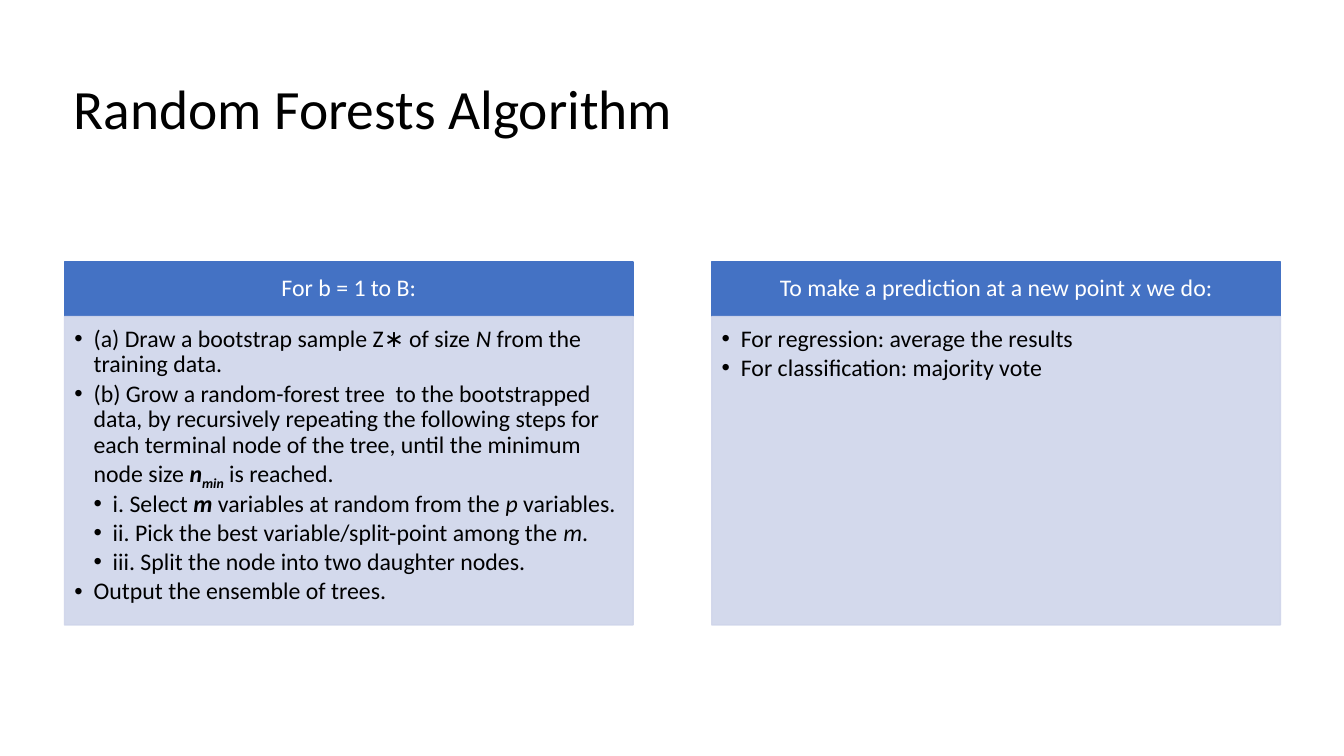
from lxml import etree
from pptx import Presentation
from pptx import util as u
from pptx.dml.color import RGBColor
from pptx.enum import shapes, text
from pptx.oxml import ns

HUES = {"head": "4472C4", "body": "CFD5EA", "dark": "000000", "light": "FFFFFF"}
WIDTH, TOP, HEAD, BODY = 5.64, 2.6, 0.54, 3.06
STEP = 0.19

LOOP = [
    (1, [("(a) Draw a bootstrap sample Z∗ of size ", ""), ("N", "i"),
         (" from the training data.", "")]),
    (1, [("(b) Grow a random-forest tree  to the bootstrapped data, by recursively "
          "repeating the following steps for each terminal node of the tree, until "
          "the minimum node size ", ""), ("n", "bi"), ("min", "bis"),
         (" is reached.", "")]),
    (2, [("i. Select ", ""), ("m", "bi"), (" variables at random from the ", ""),
         ("p", "i"), (" variables.", "")]),
    (2, [("ii. Pick the best variable/split-point among the ", ""), ("m", "i"),
         (".", "")]),
    (2, [("iii. Split the node into two daughter nodes.", "")]),
    (1, [("Output the ensemble of trees.", "")]),
]
VOTE = [
    (1, [("For regression: average the results", "")]),
    (1, [("For classification: majority vote", "")]),
]
CARDS = [
    (0.64, [("For b = 1 to B:", "")], LOOP),
    (7.06, [("To make a prediction at a new point ", ""), ("x", "i"),
            (" we do:", "")], VOTE),
]


def add_mark(para, level):
    props = para._p.get_or_add_pPr()
    props.set("marL", str(u.Inches(STEP * level)))
    props.set("indent", str(-u.Inches(STEP)))
    etree.SubElement(props, ns.qn("a:buFont")).set("typeface", "Arial")
    etree.SubElement(props, ns.qn("a:buChar")).set("char", "•")


def write(frame, paras, size=17, hue="dark", align=text.PP_ALIGN.LEFT,
          anchor=text.MSO_ANCHOR.TOP, inset=(0.1, 0.05, 0.1, 0.05), after=0):
    frame.word_wrap = True
    frame.auto_size = text.MSO_AUTO_SIZE.NONE
    frame.vertical_anchor = anchor
    (frame.margin_left, frame.margin_top,
     frame.margin_right, frame.margin_bottom) = map(u.Inches, inset)
    for rank, (level, runs) in enumerate(paras):
        para = frame.add_paragraph() if rank else frame.paragraphs[0]
        para.alignment = align
        para.line_spacing = 0.9
        para.space_before = u.Pt(0)
        para.space_after = u.Pt(after)
        if level:
            para.level = level
            add_mark(para, level)
        for words, style in runs:
            run = para.add_run()
            run.text = words
            font = run.font
            font.name, font.size = "Calibri", u.Pt(size)
            font.bold, font.italic = "b" in style, "i" in style
            font.color.rgb = RGBColor.from_string(HUES[hue])
            if "s" in style:
                font._element.set("baseline", "-25000")


def add_box(slide, left, top, height, hue, alpha=100):
    box = slide.shapes.add_shape(
        shapes.MSO_SHAPE.RECTANGLE, u.Inches(left), u.Inches(top),
        u.Inches(WIDTH), u.Inches(height))
    box.shadow.inherit = False
    box.fill.solid()
    box.line.width = u.Pt(1)
    for paint in (box.fill.fore_color, box.line.color):
        paint.rgb = RGBColor.from_string(HUES[hue])
    if alpha < 100:
        for tint in box._element.spPr.iter(ns.qn("a:srgbClr")):
            etree.SubElement(tint, ns.qn("a:alpha")).set("val", str(alpha * 1000))
    return box.text_frame


def add_card(slide, left, head, items):
    write(add_box(slide, left, TOP, HEAD, "head"), [(0, head)], hue="light",
          align=text.PP_ALIGN.CENTER, anchor=text.MSO_ANCHOR.MIDDLE,
          inset=(0.13, 0.08, 0.13, 0.08))
    write(add_box(slide, left, TOP + HEAD, BODY, "body", alpha=90), items,
          inset=(0.1, 0.1, 0.13, 0.15), after=2.55)


def add_title(slide, words):
    title = slide.shapes.title
    title.left, title.top, title.width, title.height = map(
        u.Inches, (0.63, 0.8, 12.06, 0.65))
    write(title.text_frame, [(0, [(words, "")])], size=39.6,
          anchor=text.MSO_ANCHOR.BOTTOM)


def main():
    deck = Presentation()
    deck.slide_width, deck.slide_height = u.Inches(13.33), u.Inches(7.5)
    slide = deck.slides.add_slide(deck.slide_layouts.get_by_name("Title Only"))
    add_title(slide, "Random Forests Algorithm")
    for left, head, items in CARDS:
        add_card(slide, left, head, items)
    deck.save("out.pptx")


if __name__ == "__main__":
    main()
